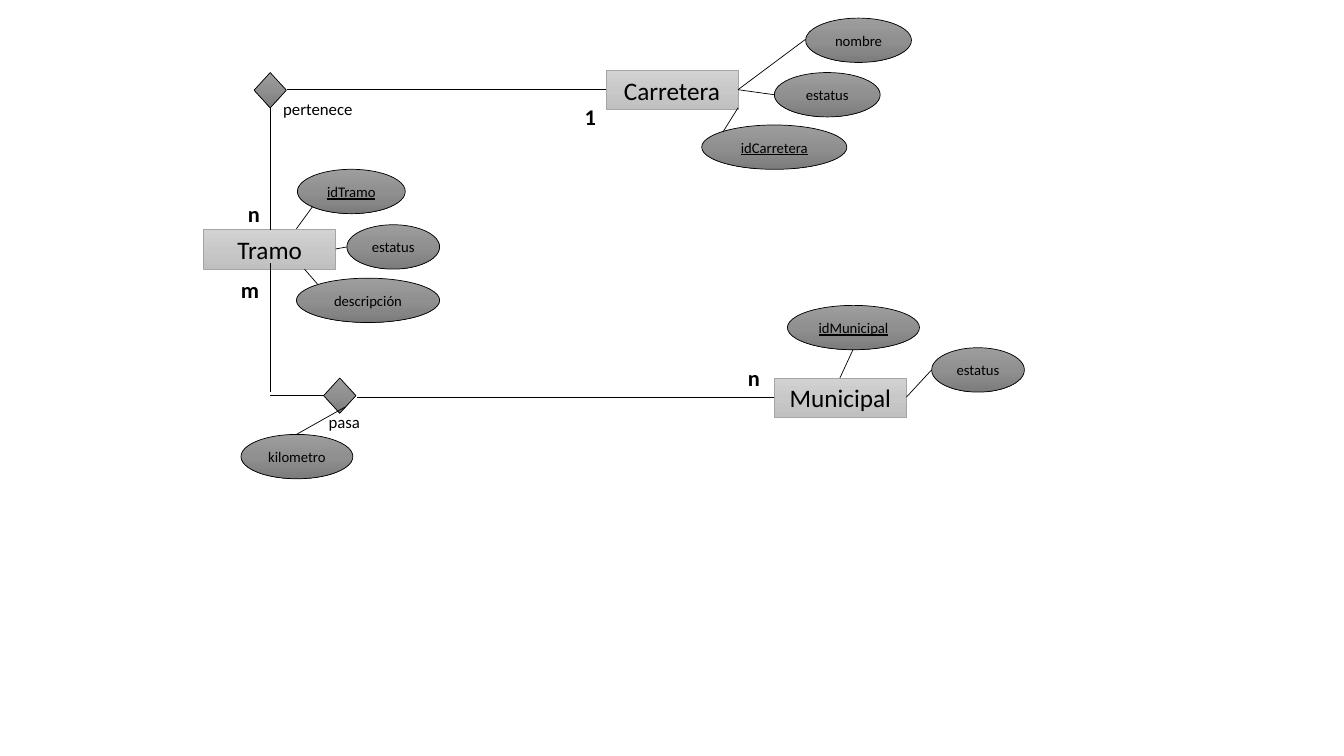
from copy import deepcopy

from lxml.etree import SubElement
from pptx import Presentation
from pptx.dml.color import RGBColor
from pptx.enum.shapes import MSO_CONNECTOR as Connector, MSO_SHAPE as Shape
from pptx.enum.text import MSO_ANCHOR as Anchor, MSO_AUTO_SIZE as AutoSize, PP_ALIGN as Align
from pptx.oxml.ns import qn
from pptx.util import Pt

PX = 9144
BLACK = RGBColor(0x00, 0x00, 0x00)
BORDER = RGBColor(0xA5, 0xA5, 0xA5)
LIGHT = [RGBColor(0xD2, 0xD2, 0xD2), RGBColor(0xC8, 0xC8, 0xC8), RGBColor(0xC0, 0xC0, 0xC0)]
DARK = [RGBColor(0x9D, 0x9D, 0x9D), RGBColor(0x90, 0x90, 0x90), RGBColor(0x7C, 0x7C, 0x7C)]

ENTITIES = [("Carretera", 601, 70), ("Tramo", 202, 228), ("Municipal", 768, 375)]
ATTRIBUTES = [
    ("nombre", 799, 18, 105),
    ("estatus", 768, 72, 105),
    ("idCarretera", 696, 124, 144),
    ("idTramo", 295, 168, 107),
    ("estatus", 344, 223, 92),
    ("descripción", 294, 276, 142),
    ("idMunicipal", 781, 303, 131),
    ("estatus", 924, 345, 92),
    ("kilometro", 239, 431, 111),
]
RELATIONS = [(252, 72), (321, 375)]
RELATION_NAMES = [("pertenece", 271, 93, 90), ("pasa", 316, 404, 52)]
CARDINALITIES = [("n", 236, 194, 32), ("n", 732, 356, 32), ("m", 229, 269, 38), ("1", 570, 97, 32)]
RELATION_LINKS = [
    (601, 89, 285, 89),
    (268, 107, 268, 228),
    (268, 261, 268, 389),
    (768, 394, 354, 394),
    (321, 392, 268, 392),
]
ATTRIBUTE_LINKS = [
    (732, 89, 799, 39),
    (732, 89, 768, 94),
    (732, 107, 717, 131),
    (294, 227, 310, 205),
    (333, 247, 344, 245),
    (302, 267, 315, 282),
    (833, 375, 846, 347),
    (899, 394, 924, 367),
    (342, 404, 294, 431),
]


class Diagram:
    """Draws the parts of an entity-relationship diagram on one slide."""

    def __init__(self, slide, font="Calibri", stroke=0.5):
        self.shapes = slide.shapes
        self.font = font
        self.stroke = Pt(stroke)

    def outline(self, line, color):
        line.color.rgb = color
        line.width = self.stroke

    def add_text(self, frame, text, size, bold=None, underline=None):
        run = frame.paragraphs[0].add_run()
        run.text = text
        run.font.name = self.font
        run.font.size = Pt(size)
        run.font.bold = bold
        run.font.underline = underline
        run.font.color.rgb = BLACK

    def node(self, kind, box, tones, border):
        node = self.shapes.add_shape(kind, *(n * PX for n in box))
        node.shadow.inherit = False
        node.fill.gradient()
        node.fill.gradient_angle = 270
        first = next(node._element.spPr.iter(qn("a:gs")))
        first.addnext(deepcopy(first))
        for stop, position, tone in zip(node.fill.gradient_stops, (0, 0.5, 1), tones):
            stop.position = position
            stop.color.rgb = tone
        self.outline(node.line, border)
        return node

    def caption(self, node, text, size, underline=None):
        frame = node.text_frame
        frame.vertical_anchor = Anchor.MIDDLE
        frame.paragraphs[0].alignment = Align.CENTER
        self.add_text(frame, text, size, underline=underline)

    def entity(self, name, x, y):
        self.caption(self.node(Shape.RECTANGLE, (x, y, 131, 39), LIGHT, BORDER), name, 18)

    def attribute(self, name, x, y, width):
        oval = self.node(Shape.OVAL, (x, y, width, 44), DARK, BLACK)
        self.caption(oval, name, 10.5, underline=name.startswith("id") or None)

    def relation(self, x, y):
        self.node(Shape.DIAMOND, (x, y, 32, 35), DARK, BLACK)

    def link(self, *ends):
        link = self.shapes.add_connector(Connector.STRAIGHT, *(n * PX for n in ends))
        self.outline(link.line, BLACK)
        SubElement(link._element.spPr, qn("a:effectLst"))

    def label(self, text, x, y, width, height, size, bold=None):
        box = self.shapes.add_textbox(x * PX, y * PX, width * PX, height * PX)
        frame = box.text_frame
        frame.word_wrap = False
        frame.auto_size = AutoSize.SHAPE_TO_FIT_TEXT
        self.add_text(frame, text, size, bold)


def main():
    deck = Presentation()
    deck.slide_width, deck.slide_height = 1333 * PX, 750 * PX
    diagram = Diagram(deck.slides.add_slide(deck.slide_layouts[6]))
    for entity in ENTITIES:
        diagram.entity(*entity)
    for attribute in ATTRIBUTES:
        diagram.attribute(*attribute)
    for relation in RELATIONS:
        diagram.relation(*relation)
    for ends in RELATION_LINKS + ATTRIBUTE_LINKS:
        diagram.link(*ends)
    for name in RELATION_NAMES:
        diagram.label(*name, height=30, size=12)
    for cardinality in CARDINALITIES:
        diagram.label(*cardinality, height=37, size=16, bold=True)
    deck.save("out.pptx")


if __name__ == "__main__":
    main()
